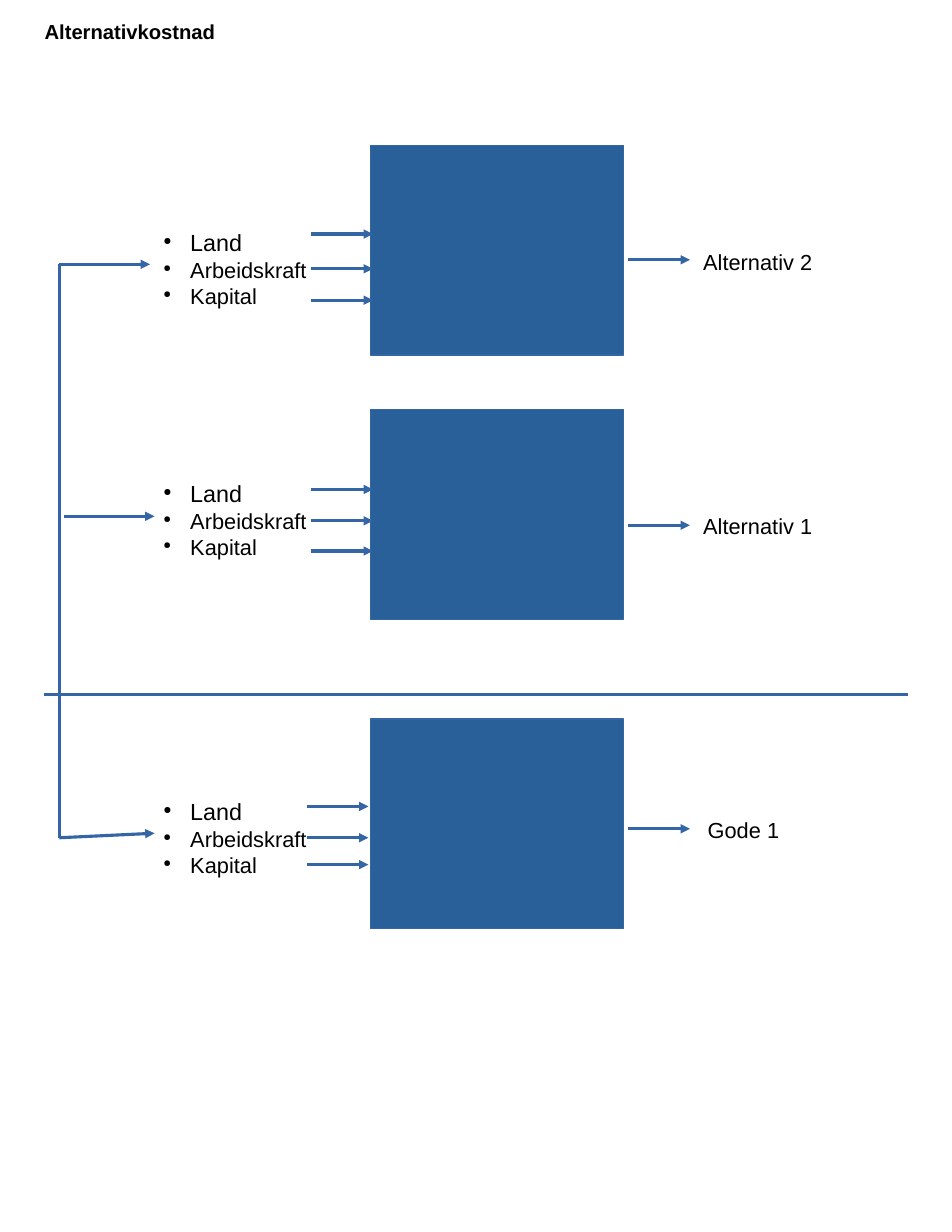
from dataclasses import dataclass

from lxml.etree import SubElement
from pptx import Presentation
from pptx.dml.color import RGBColor
from pptx.enum.shapes import MSO_CONNECTOR, MSO_SHAPE
from pptx.oxml.ns import qn
from pptx.util import Inches, Pt


@dataclass(frozen=True)
class Theme:
    font: str = "Arial"
    fill: str = "2A6099"
    line: str = "3465A4"
    text: str = "000000"
    title_size: int = 13
    lead_size: int = 15
    body_size: int = 14


@dataclass(frozen=True)
class Process:
    top: float
    resource_top: float
    feed: tuple
    input_left: float
    input_heights: tuple
    output_height: float
    label: str
    label_box: tuple


THEME = Theme()
RESOURCES = ("Land", "Arbeidskraft", "Kapital")
ARROW_LENGTH = 0.55
BLOCK_LEFT, BLOCK_WIDTH, BLOCK_HEIGHT = 3.31, 2.26, 1.87
PROCESSES = (
    Process(1.3, 1.99, (0.53, 2.36, 1.34, 2.36), 2.78, (2.09, 2.4, 2.68),
            2.32, "Alternativ 2", (6.18, 2.17, 1.18, 0.32)),
    Process(3.66, 4.23, (0.57, 4.61, 1.38, 4.61), 2.78, (4.37, 4.65, 4.92),
            4.69, "Alternativ 1", (6.18, 4.53, 1.18, 0.32)),
    Process(6.42, 7.07, (0.53, 7.48, 1.38, 7.44), 2.74, (7.2, 7.48, 7.72),
            7.4, "Gode 1", (6.22, 7.24, 0.84, 0.32)),
)


def add_line(page, start_x, start_y, end_x, end_y, arrow=False):
    line = page.shapes.add_connector(
        MSO_CONNECTOR.STRAIGHT,
        Inches(start_x), Inches(start_y), Inches(end_x), Inches(end_y))
    line.line.color.rgb = RGBColor.from_string(THEME.line)
    line.line.width = Pt(0)
    properties = line._element.spPr
    if arrow:
        SubElement(properties.find(qn("a:ln")), qn("a:tailEnd"), type="triangle")
    SubElement(properties, qn("a:effectLst"))


def add_text(page, box, lines, sizes, bold=False, wrap=False):
    frame = page.shapes.add_textbox(*map(Inches, box)).text_frame
    frame.word_wrap = wrap
    frame.text = "\n".join(lines)
    for para, size in zip(frame.paragraphs, sizes):
        font = para.runs[0].font
        font.name = THEME.font
        font.size = Pt(size)
        font.bold = bold
        font.color.rgb = RGBColor.from_string(THEME.text)
    return frame


def add_bullet(para):
    properties = para._p.get_or_add_pPr()
    properties.set("marL", str(Inches(0.24)))
    properties.set("indent", str(-Inches(0.24)))
    color = SubElement(properties, qn("a:buClr"))
    SubElement(color, qn("a:srgbClr"), val=THEME.text)
    SubElement(properties, qn("a:buSzPct"), val="45000")
    SubElement(properties, qn("a:buChar"), char="●")


def add_resources(page, box):
    sizes = (THEME.lead_size, THEME.body_size, THEME.body_size)
    for para in add_text(page, box, RESOURCES, sizes).paragraphs:
        add_bullet(para)


def add_block(page, box):
    block = page.shapes.add_shape(MSO_SHAPE.RECTANGLE, *map(Inches, box))
    block.shadow.inherit = False
    block.fill.solid()
    block.fill.fore_color.rgb = RGBColor.from_string(THEME.fill)
    block.line.color.rgb = RGBColor.from_string(THEME.line)
    block.line.width = Pt(0)


def add_process(page, process):
    add_block(page, (BLOCK_LEFT, process.top, BLOCK_WIDTH, BLOCK_HEIGHT))
    add_line(page, *process.feed, arrow=True)
    arrows = [(process.input_left, height) for height in process.input_heights]
    arrows.append((BLOCK_LEFT + BLOCK_WIDTH + 0.04, process.output_height))
    for left, height in arrows:
        add_line(page, left, height, left + ARROW_LENGTH, height, arrow=True)
    add_resources(page, (1.36, process.resource_top, 1.48, 0.77))
    add_text(page, process.label_box, [process.label], [THEME.body_size])


def main():
    deck = Presentation()
    deck.slide_width, deck.slide_height = Inches(8.5), Inches(11)
    page = deck.slides.add_slide(deck.slide_layouts[6])
    add_text(page, (0.3, 0.12, 3.41, 0.38), ["Alternativkostnad"],
             [THEME.title_size], bold=True, wrap=True)
    for process in PROCESSES:
        add_process(page, process)
    add_line(page, 0.39, 6.2, 8.11, 6.2)
    add_line(page, 0.53, 2.36, 0.53, 7.48)
    deck.save("out.pptx")


if __name__ == "__main__":
    main()
